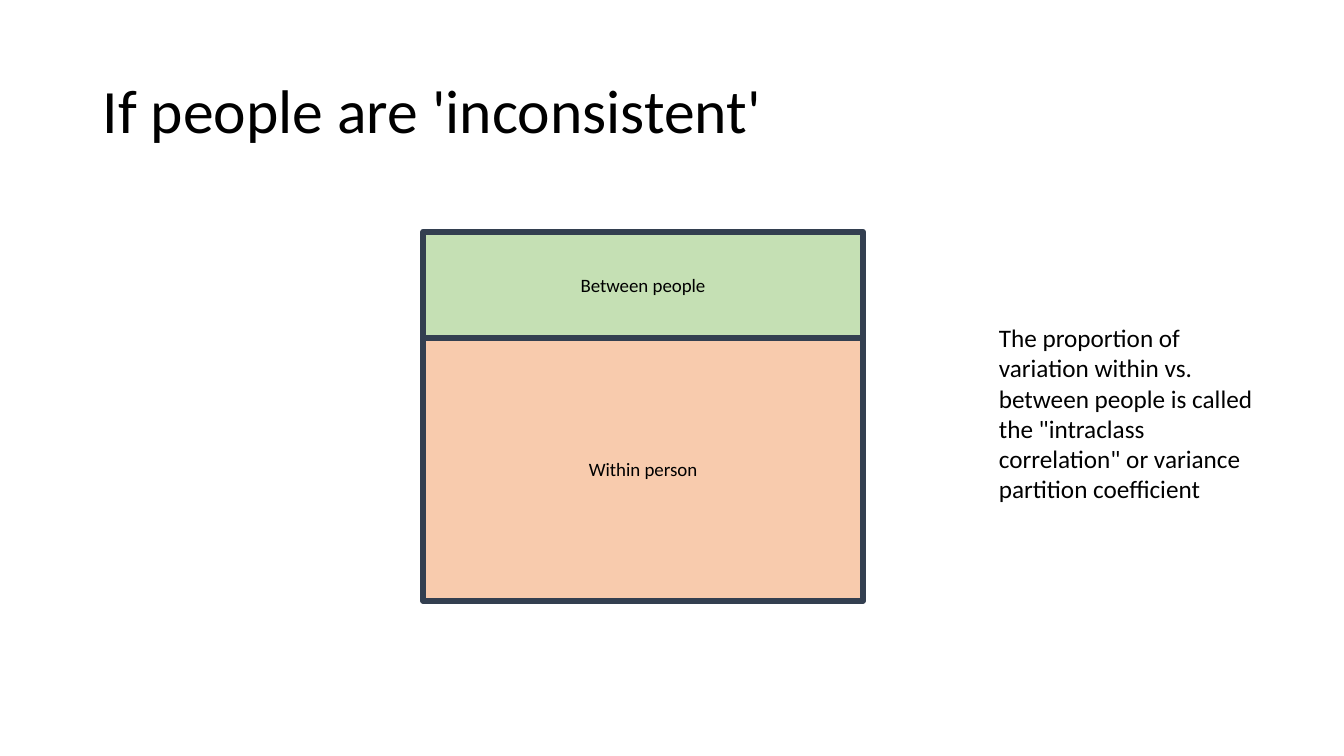
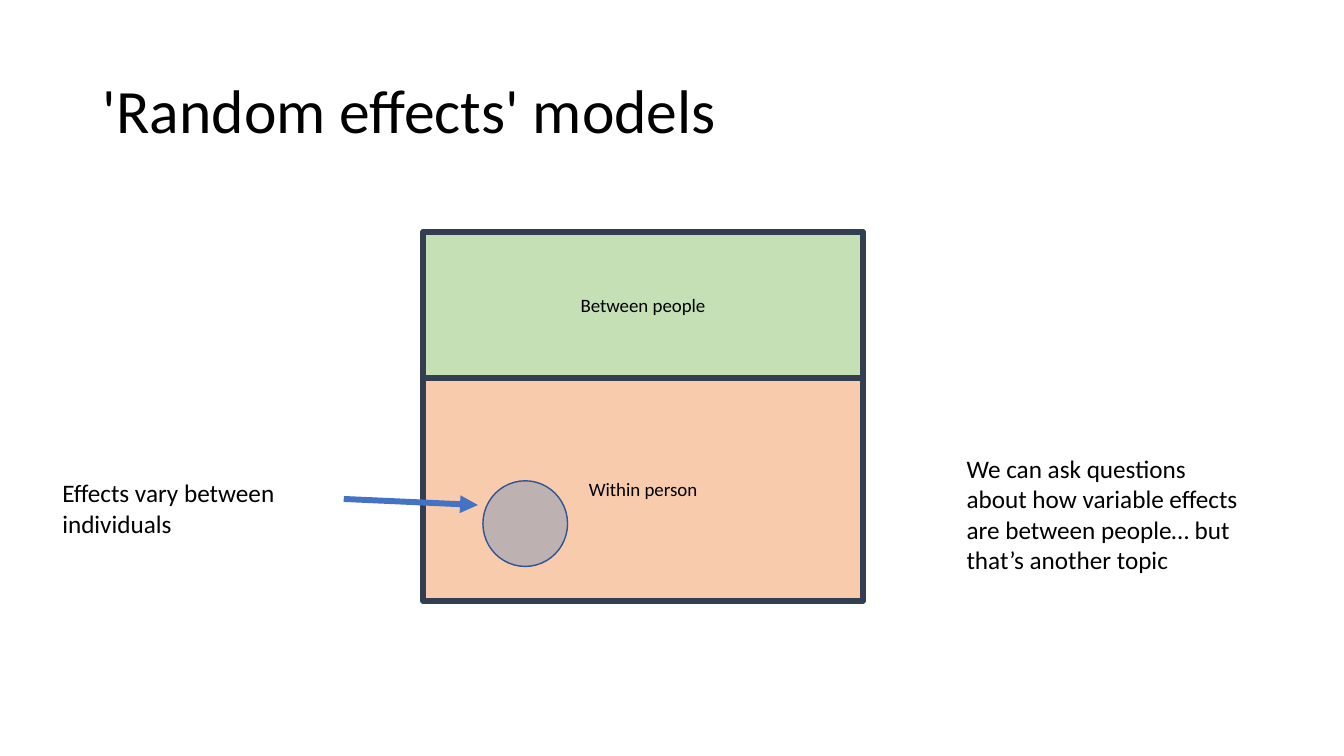
from pptx import Presentation
from pptx.dml.color import RGBColor as RGB
from pptx.enum.shapes import MSO_CONNECTOR as Wire, MSO_SHAPE as Form
from pptx.enum.text import MSO_ANCHOR as Anchor, MSO_AUTO_SIZE as Fit, PP_ALIGN as Align
from pptx.oxml.ns import qn
from pptx.util import Inches, Pt
from lxml.etree import SubElement as Sub

WIDE, HIGH = Inches(13.33), Inches(7.5)
FONT = "Calibri"
INK, NAVY, GREEN, PEACH = "000000", "333F50", "C5E0B4", "F8CBAD"
BLUE, DISC, RIM = "4472C4", "4F81BD", "325491"
LEFT, TOP, SPAN, TALL = 31.5, 30.67, 32.7, 48.8


def tint(part, code):
    part.rgb = RGB.from_string(code)


def place(x, y, w, h):
    return [int(side * part / 100) for side, part in zip((WIDE, HIGH) * 2, (x, y, w, h))]


def write(frame, text, size=18, align=Align.LEFT, anchor=Anchor.TOP, fit=Fit.NONE, lead=None):
    frame.word_wrap = True
    frame.auto_size = fit
    frame.vertical_anchor = anchor
    para = frame.paragraphs[0]
    para.alignment = align
    para.line_spacing = lead
    run = para.add_run()
    run.text = text
    run.font.name = FONT
    run.font.size = Pt(size)
    tint(run.font.color, INK)


def start(deck, text):
    slide = deck.slides.add_slide(deck.slide_layouts[5])
    title = slide.shapes.title
    title.left, title.top, title.width, title.height = place(6.9, 5.33, 86.25, 19.33)
    write(title.text_frame, text, size=44, anchor=Anchor.MIDDLE, lead=0.9)
    return slide


def shape(slide, form, box, fill, line, width):
    item = slide.shapes.add_shape(form, *place(*box))
    item.shadow.inherit = False
    item.fill.solid()
    tint(item.fill.fore_color, fill)
    tint(item.line.color, line)
    item.line.width = Pt(width)
    return item


def stack(slide, split):
    rows = (("Between people", GREEN, 0, split),
            ("Within person", PEACH, split, TALL - split))
    for text, fill, drop, tall in rows:
        item = shape(slide, Form.RECTANGLE, (LEFT, TOP + drop, SPAN, tall), fill, NAVY, 4.5)
        write(item.text_frame, text, size=13.5, align=Align.CENTER, anchor=Anchor.MIDDLE)


def note(slide, text, *box):
    item = slide.shapes.add_textbox(*place(*box))
    write(item.text_frame, text, fit=Fit.SHAPE_TO_FIT_TEXT)


def arrow(slide, *ends):
    item = slide.shapes.add_connector(Wire.STRAIGHT, *place(*ends))
    tint(item.line.color, BLUE)
    item.line.width = Pt(4.25)
    Sub(item.line._get_or_add_ln(), qn("a:tailEnd"), type="triangle")
    Sub(item._element.spPr, qn("a:effectLst"))


def disc(slide, *box):
    item = shape(slide, Form.OVAL, box, DISC, RIM, 1)
    color = item._element.spPr.find(qn("a:solidFill"))[0]
    Sub(color, qn("a:alpha"), val="34000")


def main():
    deck = Presentation()
    deck.slide_width, deck.slide_height = WIDE, HIGH

    slide = start(deck, "If people are 'inconsistent'")
    stack(slide, 14)
    note(slide, "The proportion of variation within vs. between people is called "
         "the \"intraclass correlation\" or variance partition coefficient",
         73.58, 42, 21.37, 25.6)

    slide = start(deck, "'Random effects' models")
    stack(slide, 19.33)
    note(slide, "Effects vary between individuals", 3.9, 62.53, 22.57, 9.47)
    arrow(slide, 25.58, 66, 35.56, 66.8)
    note(slide, "We can ask questions about how variable effects are between people… "
         "but that’s another topic", 71.18, 59.33, 21.97, 17.47)
    disc(slide, 35.93, 63.6, 6.3, 11.33)

    deck.save("out.pptx")


if __name__ == "__main__":
    main()
